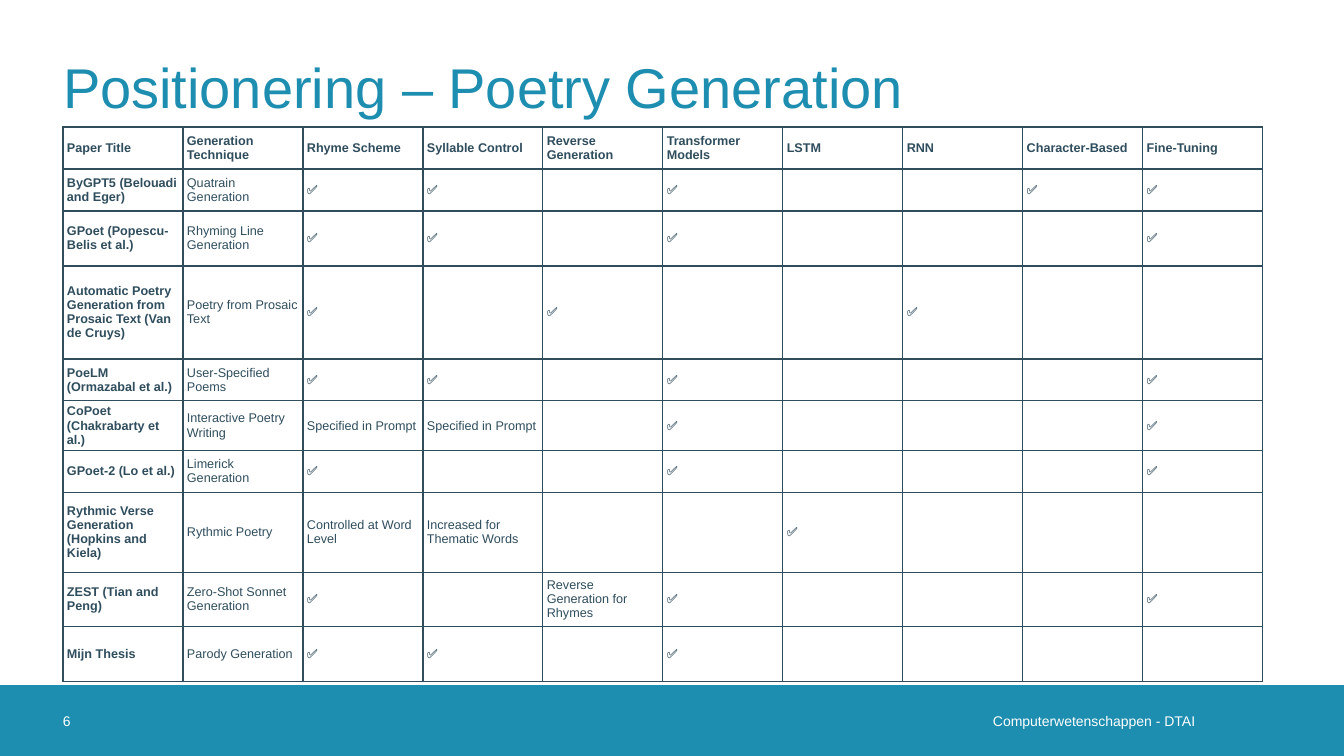
from lxml import etree
from pptx import Presentation
from pptx.dml.color import RGBColor
from pptx.enum.shapes import MSO_SHAPE
from pptx.enum.text import MSO_ANCHOR, PP_ALIGN
from pptx.oxml.ns import qn
from pptx.util import Pt

TITLE = "Positionering – Poetry Generation"
FOOTER = "Computerwetenschappen - DTAI"
PAGE = "6"
YES = "✅"
HEADERS = ["Paper Title", "Generation Technique", "Rhyme Scheme", "Syllable Control",
           "Reverse Generation", "Transformer Models", "LSTM", "RNN",
           "Character-Based", "Fine-Tuning"]
PAPERS = [
    (42, ["ByGPT5 (Belouadi and Eger)", "Quatrain Generation",
          YES, YES, "", YES, "", "", YES, YES]),
    (55, ["GPoet (Popescu-Belis et al.)", "Rhyming Line Generation",
          YES, YES, "", YES, "", "", "", YES]),
    (93, ["Automatic Poetry Generation from Prosaic Text (Van de Cruys)",
          "Poetry from Prosaic Text", YES, "", YES, "", "", YES, "", ""]),
    (42, ["PoeLM (Ormazabal et al.)", "User-Specified Poems",
          YES, YES, "", YES, "", "", "", YES]),
    (47, ["CoPoet (Chakrabarty et al.)", "Interactive Poetry Writing",
          "Specified in Prompt", "Specified in Prompt", "", YES, "", "", "", YES]),
    (42, ["GPoet-2 (Lo et al.)", "Limerick Generation",
          YES, "", "", YES, "", "", "", YES]),
    (80, ["Rythmic Verse Generation (Hopkins and Kiela)", "Rythmic Poetry",
          "Controlled at Word Level", "Increased for Thematic Words",
          "", "", YES, "", "", ""]),
    (54, ["ZEST (Tian and Peng)", "Zero-Shot Sonnet Generation",
          YES, "", "Reverse Generation for Rhymes", YES, "", "", "", YES]),
    (55, ["Mijn Thesis", "Parody Generation",
          YES, YES, "", YES, "", "", "", ""]),
]
ROWS = [(42, HEADERS)] + PAPERS

TEAL = RGBColor(0x1D, 0x8D, 0xB0)
SLATE = RGBColor(0x2F, 0x4D, 0x5D)
WHITE = RGBColor(0xFF, 0xFF, 0xFF)
FONT = "Arial"
MIDDLE = MSO_ANCHOR.MIDDLE
LEFT, RIGHT = PP_ALIGN.LEFT, PP_ALIGN.RIGHT
RECT = MSO_SHAPE.RECTANGLE

W, H = 1344, 756
MARGIN = 63
COL_W = 120
TABLE_TOP = 127
BAR_TOP = 685
BAR_H = H - BAR_TOP
TITLE_ONLY = 5


def px(n):
    return round(n * 914400 / 100.8)


def style(p, size, color, bold=False):
    for r in p.runs:
        r.font.name = FONT
        r.font.size = Pt(size)
        r.font.bold = bold
        r.font.color.rgb = color


def fill_frame(tf, text, size, color, align=LEFT, right=0):
    tf.text = text
    tf.word_wrap = True
    tf.vertical_anchor = MIDDLE
    tf.margin_left = tf.margin_top = tf.margin_bottom = 0
    tf.margin_right = px(right)
    p = tf.paragraphs[0]
    p.alignment = align
    style(p, size, color)


def add_borders(cell):
    tcPr = cell._tc.get_or_add_tcPr()
    for i, side in enumerate(("a:lnL", "a:lnR", "a:lnT", "a:lnB")):
        ln = etree.Element(qn(side), w=str(Pt(1)))
        fill = etree.SubElement(ln, qn("a:solidFill"))
        etree.SubElement(fill, qn("a:srgbClr"), val=str(SLATE))
        tcPr.insert(i, ln)


def add_label(s, x, w, text, align=LEFT, right=0):
    sp = s.shapes.add_textbox(px(x), px(BAR_TOP), px(w), px(BAR_H))
    fill_frame(sp.text_frame, text, 10, WHITE, align, right)


def add_papers(s):
    height = sum(h for h, _ in ROWS)
    table = s.shapes.add_table(len(ROWS), len(HEADERS), px(MARGIN), px(TABLE_TOP),
                               px(COL_W * len(HEADERS)), px(height)).table
    table.first_row = table.horz_banding = False
    for col in table.columns:
        col.width = px(COL_W)
    for i, (h, texts) in enumerate(ROWS):
        table.rows[i].height = px(h)
        for j, text in enumerate(texts):
            cell = table.cell(i, j)
            cell.text = text
            cell.vertical_anchor = MIDDLE
            cell.margin_left = cell.margin_right = px(4)
            cell.margin_top = cell.margin_bottom = px(2)
            cell.fill.background()
            add_borders(cell)
            style(cell.text_frame.paragraphs[0], 9, SLATE, i == 0 or j == 0)


def main():
    prs = Presentation()
    prs.slide_width, prs.slide_height = px(W), px(H)
    s = prs.slides.add_slide(prs.slide_layouts[TITLE_ONLY])

    bar = s.shapes.add_shape(RECT, 0, px(BAR_TOP), px(W), px(BAR_H))
    bar.shadow.inherit = False
    bar.fill.solid()
    bar.fill.fore_color.rgb = TEAL
    bar.line.fill.background()
    add_label(s, 665, 550, FOOTER, RIGHT, 20)
    add_label(s, MARGIN, 72, PAGE)

    title = s.shapes.title
    title.left, title.top = px(MARGIN), px(23)
    title.width, title.height = px(1217), px(127)
    fill_frame(title.text_frame, TITLE, 40, TEAL)

    add_papers(s)
    prs.save("out.pptx")


if __name__ == "__main__":
    main()
